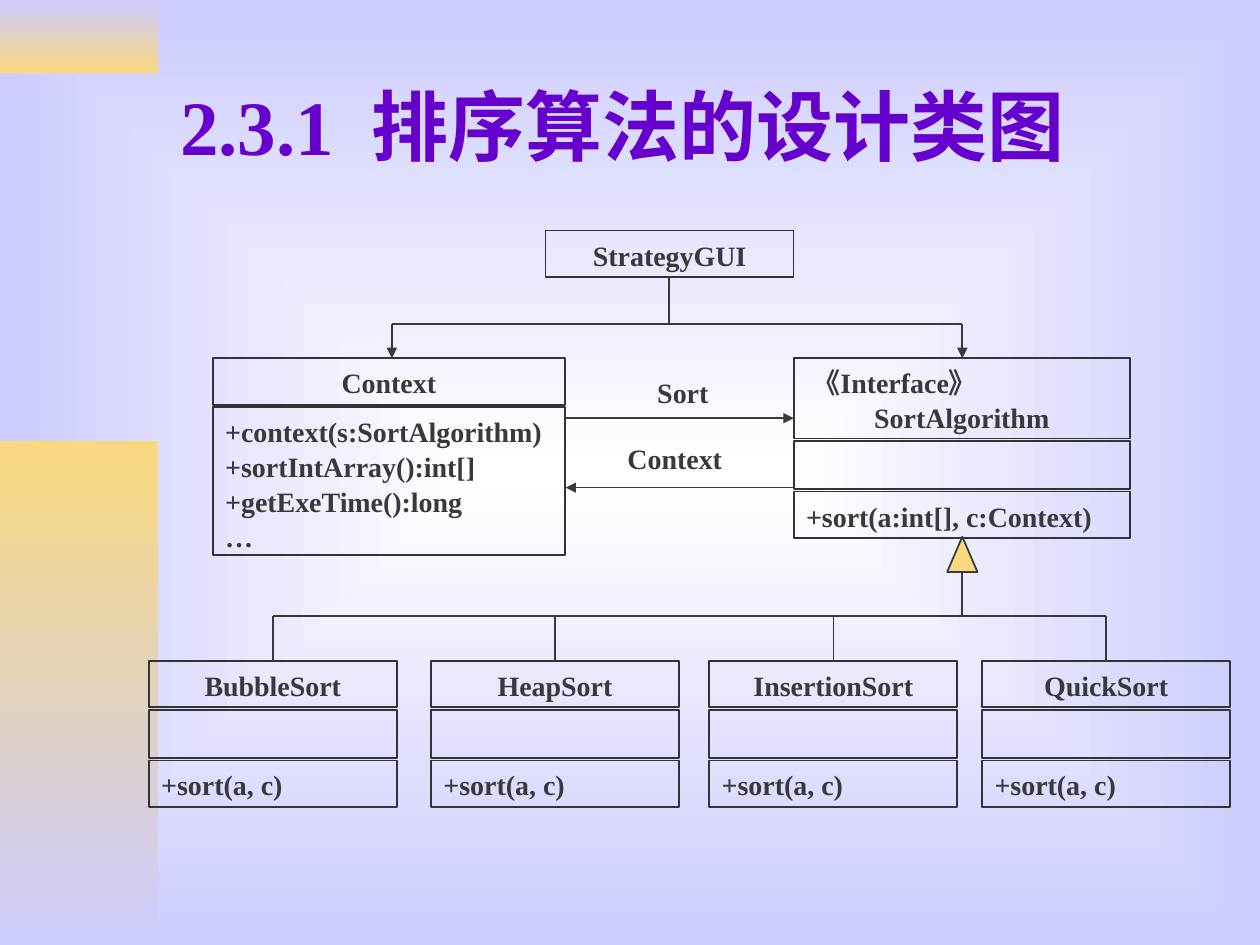
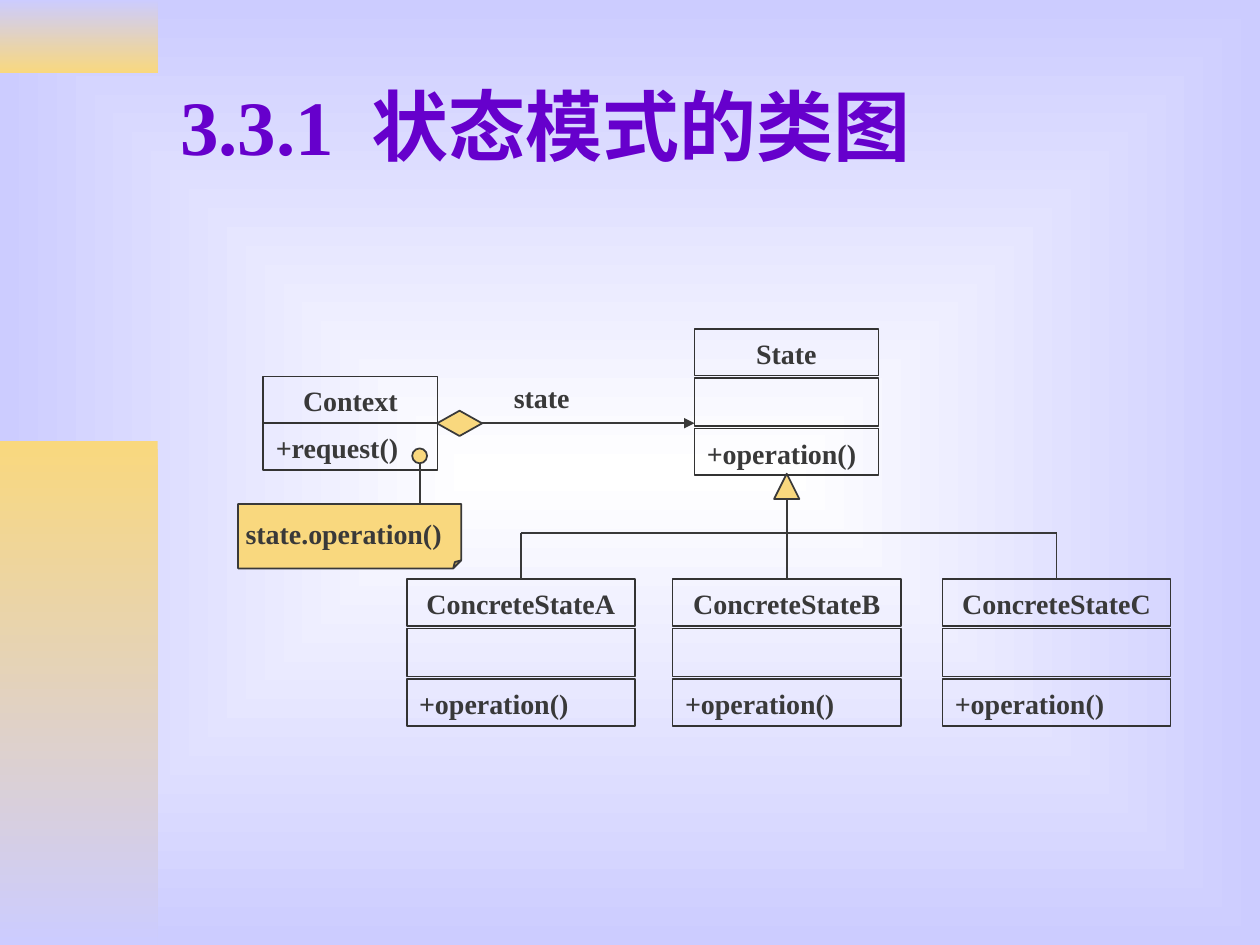
import pptx
import pptx.dml.color
import pptx.enum.shapes
import pptx.enum.text
import pptx.oxml.ns
import pptx.util
from lxml import etree

Cm = pptx.util.Cm
Pt = pptx.util.Pt
qn = pptx.oxml.ns.qn
SHAPE = pptx.enum.shapes.MSO_SHAPE
ALIGN = pptx.enum.text.PP_ALIGN

COLOURS = {
    "title": "6600CC",
    "text": "393939",
    "border": "333333",
    "gold": "F9D87E",
    "lavender": "CCCCFF",
    "white": "FFFFFF",
}
FONT = "Times New Roman"
ROW = 0.94          # height of a one-line compartment
EXTRA_LINE = 0.68   # added for each further line
EMPTY_ROW = 0.97


def rgb(name):
    return pptx.dml.color.RGBColor.from_string(COLOURS[name])


def set_gradient(fill, first, last):
    fill.gradient()
    for stop, name in zip(fill.gradient_stops, (first, last)):
        stop.color.rgb = rgb(name)


def set_background(master):
    """Give every slide a gradient that spreads from the centre."""
    set_gradient(master.background.fill, "white", "lavender")
    linear = master.element.xpath(".//p:bg//a:lin")[0]
    centre = etree.Element(qn("a:path"), path="rect")
    etree.SubElement(centre, qn("a:fillToRect"), l="50000", t="50000", r="50000", b="50000")
    linear.getparent().replace(linear, centre)


def add_shape(page, kind, left, top, width, height, fill=None, line="text"):
    shape = page.shapes.add_shape(kind, Cm(left), Cm(top), Cm(width), Cm(height))
    shape.shadow.inherit = False
    if fill:
        shape.fill.solid()
        shape.fill.fore_color.rgb = rgb(fill)
    else:
        shape.fill.background()
    shape.line.color.rgb = rgb(line)
    shape.line.width = Pt(1)
    return shape


def add_band(page, top, height, first, last):
    band = add_shape(page, SHAPE.RECTANGLE, 0, top, 3.18, height)
    set_gradient(band.fill, first, last)
    band.fill.gradient_angle = 270
    band.line.fill.background()


def format_runs(para, size, colour):
    for span in para.runs:
        span.font.name = FONT
        span.font.size = Pt(size)
        span.font.bold = True
        span.font.color.rgb = rgb(colour)


def set_text(box, text, align=ALIGN.LEFT):
    frame = box.text_frame
    frame.word_wrap = True
    frame.vertical_anchor = pptx.enum.text.MSO_ANCHOR.TOP
    frame.text = text
    for para in frame.paragraphs:
        para.alignment = align
        para.line_spacing = 1.04
        format_runs(para, 16, "text")


def add_label(page, text, left, top, width):
    box = page.shapes.add_textbox(Cm(left), Cm(top), Cm(width), Cm(ROW))
    set_text(box, text)


def add_title(page, number, name):
    """Write the section number and, at a tab stop, its name."""
    box = page.shapes.add_textbox(Cm(3.38), Cm(0.84), Cm(21.59), Cm(3.35))
    frame = box.text_frame
    frame.word_wrap = True
    frame.vertical_anchor = pptx.enum.text.MSO_ANCHOR.MIDDLE
    para = frame.paragraphs[0]
    para.text = f"{number}\t{name}"
    tabs = etree.SubElement(para._p.get_or_add_pPr(), qn("a:tabLst"))
    etree.SubElement(tabs, qn("a:tab"), pos=str(Cm(3.87)), algn="l")
    format_runs(para, 44, "title")


def add_page(deck, number, name):
    page = deck.slides.add_slide(deck.slide_layouts[6])
    add_band(page, 0, 1.48, "lavender", "gold")
    add_band(page, 8.9, 10.15, "gold", "lavender")
    add_title(page, number, name)
    return page


def add_line(page, x1, y1, x2, y2, arrow=False):
    line = page.shapes.add_connector(
        pptx.enum.shapes.MSO_CONNECTOR.STRAIGHT, Cm(x1), Cm(y1), Cm(x2), Cm(y2))
    line.line.color.rgb = rgb("text")
    line.line.width = Pt(1)
    properties = line._element.spPr
    if arrow:
        etree.SubElement(properties.find(qn("a:ln")), qn("a:tailEnd"), type="triangle")
    etree.SubElement(properties, qn("a:effectLst"))


def add_note(page, left, top, width, height):
    """Draw a gold note with a small folded corner."""
    note = add_shape(page, SHAPE.FOLDED_CORNER, left, top, width, height, "gold")
    guides = note._element.spPr.find(qn("a:prstGeom")).get_or_add_avLst()
    for guide in list(guides):
        guides.remove(guide)
    etree.SubElement(guides, qn("a:gd"), name="adj", fmla="val 12500")


def add_class(page, left, top, width, *compartments, gap=0.05):
    """Stack compartments; the first is the centred name, an empty one has no text.

    Returns the compartment boxes.
    """
    boxes = []
    for index, text in enumerate(compartments):
        height = ROW + EXTRA_LINE * text.count("\n") if text else EMPTY_ROW
        box = add_shape(page, SHAPE.RECTANGLE, left, top, width, height, line="border")
        if text:
            set_text(box, text, ALIGN.LEFT if index else ALIGN.CENTER)
        boxes.append(box)
        top += height + gap
    return boxes


def add_inheritance(page, apex, triangle_size, bus_y, child_xs, child_top):
    """Join subclasses to the triangular arrowhead below their parent."""
    x, y = apex
    width, height = triangle_size
    for child_x in child_xs:
        add_line(page, child_x, bus_y, child_x, child_top)
    add_line(page, child_xs[0], bus_y, child_xs[-1], bus_y)
    add_line(page, x, y + height, x, bus_y)
    add_shape(page, SHAPE.ISOSCELES_TRIANGLE, x - width / 2, y, width, height, "gold")


def add_subclasses(page, lefts, top, width, names, operation):
    """Draw a row of classes and return their horizontal centres."""
    for left, name in zip(lefts, names):
        add_class(page, left, top, width, name, "", operation)
    return [left + width / 2 for left in lefts]


def build_sorting_page(deck):
    page = add_page(deck, "2.3.1", "排序算法的设计类图")
    add_class(page, 11, 4.65, 5, "StrategyGUI")
    add_class(page, 4.29, 7.22, 7.1, "Context",
              "+context(s:SortAlgorithm)\n+sortIntArray():int[]\n+getExeTime():long\n…")
    interface = add_class(page, 16, 7.22, 6.78, "《Interface》\nSortAlgorithm", "",
                          "+sort(a:int[], c:Context)")
    stereotype = interface[0].text_frame.paragraphs[0]
    stereotype.alignment = ALIGN.LEFT
    stereotype._p.get_or_add_pPr().set("marL", str(Cm(0.13)))

    add_line(page, 13.49, 5.6, 13.49, 6.53)
    add_line(page, 7.9, 6.53, 19.4, 6.53)
    for x in (7.9, 19.4):
        add_line(page, x, 6.53, x, 7.22, arrow=True)
    add_line(page, 11.4, 8.43, 16, 8.43, arrow=True)
    add_line(page, 16, 9.83, 11.4, 9.83, arrow=True)
    add_label(page, "Sort", 13, 7.42, 1.9)
    add_label(page, "Context", 12.4, 8.74, 2.69)

    centres = add_subclasses(page, (3, 8.69, 14.3, 19.8), 13.32, 5,
                             ("BubbleSort", "HeapSort", "InsertionSort", "QuickSort"),
                             "+sort(a, c)")
    add_inheritance(page, (19.4, 10.82), (0.61, 0.71), 12.42, centres, 13.32)


def build_state_page(deck):
    page = add_page(deck, "3.3.1", "状态模式的类图")
    add_class(page, 14, 6.63, 3.71, "State", "", "+operation()")
    add_class(page, 5.31, 7.59, 3.51, "Context", "+request()", gap=0)
    add_shape(page, SHAPE.FLOWCHART_DECISION, 8.81, 8.28, 0.91, 0.51, "gold")
    add_line(page, 9.7, 8.53, 14, 8.53, arrow=True)
    add_label(page, "state", 10.11, 7.52, 3.78)

    centres = add_subclasses(page, (8.2, 13.56, 19), 11.68, 4.6,
                             ("ConcreteStateA", "ConcreteStateB", "ConcreteStateC"),
                             "+operation()")
    add_inheritance(page, (15.86, 9.55), (0.51, 0.51), 10.74, centres, 11.68)

    add_note(page, 4.8, 10.16, 4.5, 1.3)
    add_label(page, "state.operation()", 4.7, 10.26, 4.5)
    add_shape(page, SHAPE.OVAL, 8.31, 9.04, 0.3, 0.3, "gold")
    add_line(page, 8.46, 9.35, 8.46, 10.16)


def main():
    deck = pptx.Presentation()
    deck.slide_width = Cm(25.4)
    deck.slide_height = Cm(19.05)
    set_background(deck.slide_master)
    build_sorting_page(deck)
    build_state_page(deck)
    deck.save("out.pptx")


if __name__ == "__main__":
    main()
